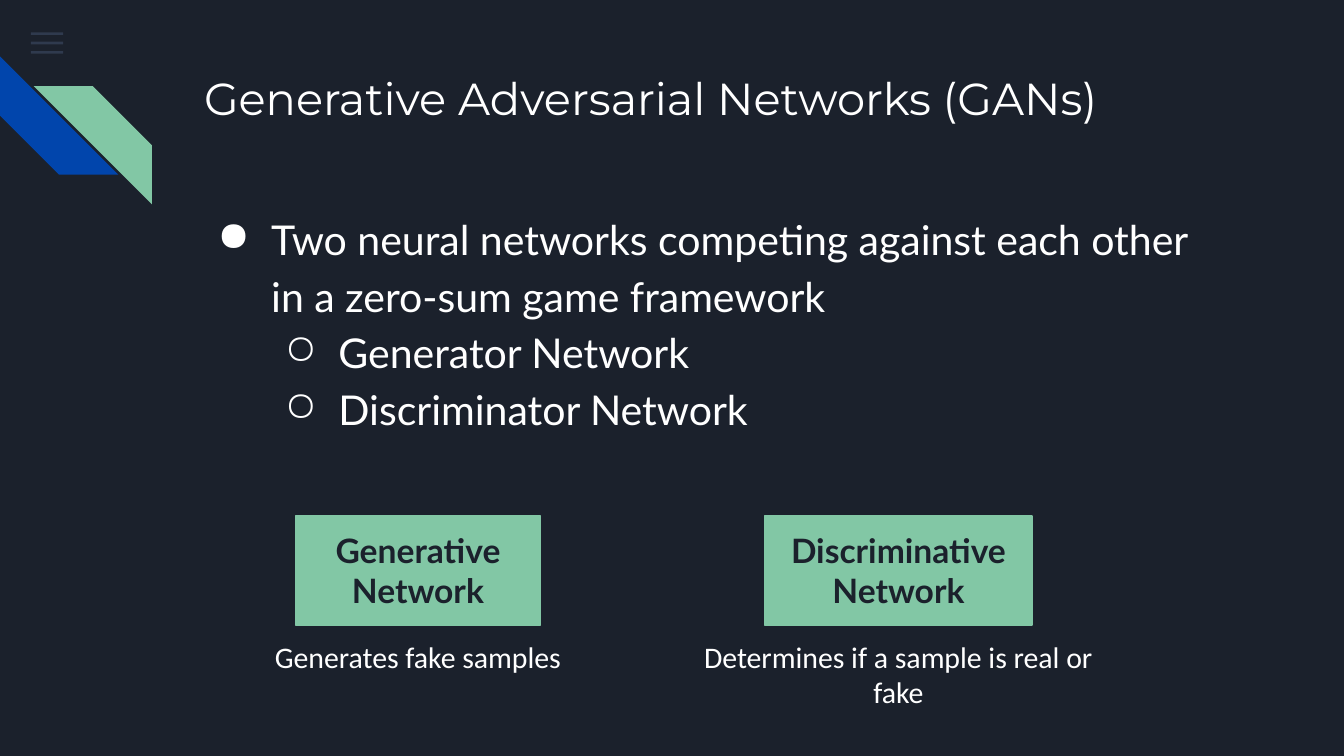
"""Build a slide that introduces generative adversarial networks."""
from lxml.etree import SubElement
from pptx import Presentation
from pptx.dml.color import RGBColor
from pptx.enum.shapes import MSO_SHAPE
from pptx.enum.text import MSO_ANCHOR, PP_ALIGN
from pptx.oxml.ns import qn
from pptx.util import Inches, Pt

WIDTH, HEIGHT = Inches(10), Inches(5.625)
UNIT = WIDTH / 100
NAVY, GREEN, BLUE, SLATE, WHITE = "1B212C", "82C7A5", "0145AC", "55688B", "FFFFFF"


def rgb(code):
    """Turn a hex string into a colour."""
    return RGBColor.from_string(code)


def grid(*cells):
    """Turn grid units, a hundredth of the slide width each, into lengths."""
    return [round(c * UNIT) for c in cells]


def add_block(s, kind, cells, color, outlined=False):
    """Add a flat preset shape."""
    sp = s.shapes.add_shape(kind, *grid(*cells))
    sp.shadow.inherit = False
    sp.fill.solid()
    sp.fill.fore_color.rgb = rgb(color)
    if outlined:
        sp.line.color.rgb = rgb(color)
        sp.line.width = Pt(0.75)
    else:
        sp.line.fill.background()
    return sp


def add_menu_bar(s, top):
    """Add one translucent bar of the menu icon."""
    sp = add_block(s, MSO_SHAPE.RECTANGLE, (2.3, top, 2.4, 0.2), SLATE)
    color = sp.fill._xPr.find(qn("a:solidFill"))[0]
    SubElement(color, qn("a:alpha"), val="36000")


def add_stripe(s, left, top, color, rotation):
    """Add a diagonal corner stripe."""
    sp = add_block(s, MSO_SHAPE.DIAGONAL_STRIPE, (left, top, 8.8, 8.8), color)
    sp.rotation = rotation


def write(sp, text, size, font, color, align=PP_ALIGN.LEFT, bold=False):
    """Fill a shape with uniformly styled paragraphs."""
    tf = sp.text_frame
    tf.word_wrap = True
    tf.margin_left, tf.margin_top, tf.margin_right, tf.margin_bottom = grid(1, 1, 1, 1)
    tf.text = text
    for p in tf.paragraphs:
        p.alignment = align
        for r in p.runs:
            r.font.size, r.font.name, r.font.bold = Pt(size), font, bold
            r.font.color.rgb = rgb(color)
    return tf


def add_text(s, cells, text, size, font, align=PP_ALIGN.LEFT):
    """Add a white text box."""
    sp = s.shapes.add_textbox(*grid(*cells))
    return write(sp, text, size, font, WHITE, align)


def set_bullet(p, level):
    """Give a paragraph the bullet and indent of its level."""
    p.level = level
    pPr = p._p.get_or_add_pPr()
    pPr.set("marL", str(Inches(0.5 * (level + 1))))
    pPr.set("indent", str(Inches(-0.4)))
    SubElement(SubElement(pPr, qn("a:buClr")), qn("a:srgbClr"), val=WHITE)
    SubElement(pPr, qn("a:buChar"), char="●○"[level])
    p.line_spacing = 1.15


def add_network(s, center, width, name, caption, caption_width, caption_height):
    """Add a network box with its caption centred below."""
    box = (center - width / 2, 38.4, width, 8.1)
    sp = add_block(s, MSO_SHAPE.RECTANGLE, box, GREEN, outlined=True)
    tf = write(sp, name, 18, "Lato", NAVY, PP_ALIGN.CENTER, bold=True)
    tf.vertical_anchor = MSO_ANCHOR.TOP
    cells = (center - caption_width / 2, 46.5, caption_width, caption_height)
    add_text(s, cells, caption, 16, "Calibri", PP_ALIGN.CENTER)


def main():
    """Build and save the slide."""
    prs = Presentation()
    prs.slide_width, prs.slide_height = WIDTH, HEIGHT
    s = prs.slides.add_slide(prs.slide_layouts[6])
    s.background.fill.solid()
    s.background.fill.fore_color.rgb = rgb(NAVY)

    for row in range(3):
        add_menu_bar(s, 2.4 + 0.7 * row)
    add_stripe(s, 0, 4.2, BLUE, 270)
    add_stripe(s, 2.5, 6.4, GREEN, 90)

    add_text(s, (14.2, 4.3, 77, 10), "Generative Adversarial Networks (GANs)", 24, "Montserrat")
    points = [
        (0, "Two neural networks competing against each other in a zero-sum game framework"),
        (1, "Generator Network"),
        (1, "Discriminator Network"),
    ]
    tf = add_text(s, (14.2, 14.4, 77, 17.8), "\n".join(t for _, t in points), 22, "Lato")
    for p, (level, _) in zip(tf.paragraphs, points):
        set_bullet(p, level)

    add_network(s, 31.1, 18.2, "Generative\nNetwork", "Generates fake samples", 26.1, 4.7)
    add_network(s, 66.85, 19.9, "Discriminative\nNetwork",
                "Determines if a sample is real or fake", 33, 7.4)
    prs.save("out.pptx")


if __name__ == "__main__":
    main()
